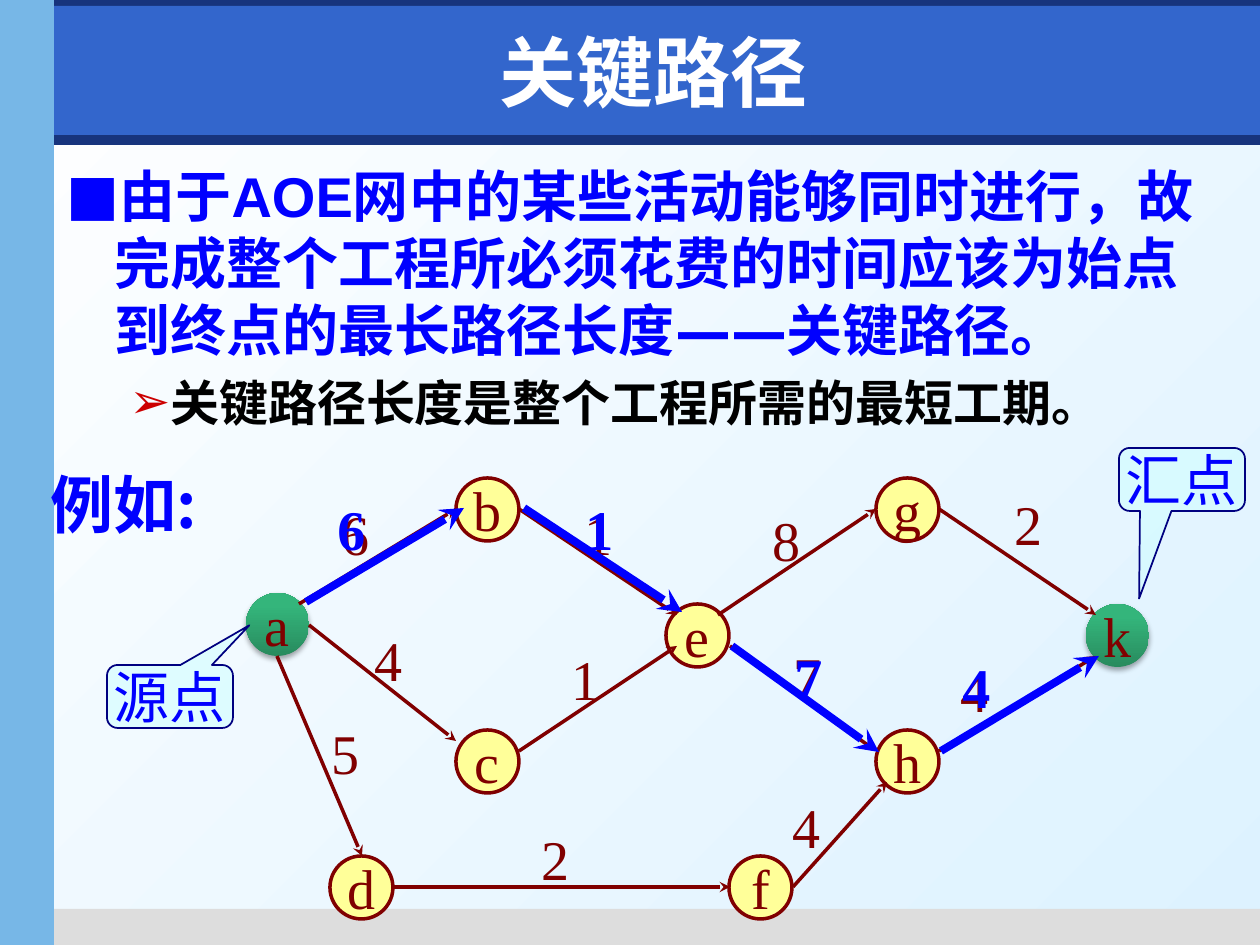
from lxml.etree import SubElement
from pptx import Presentation
from pptx.dml.color import RGBColor
from pptx.enum.shapes import MSO_CONNECTOR, MSO_SHAPE
from pptx.enum.text import MSO_ANCHOR, PP_ALIGN
from pptx.oxml import parse_xml
from pptx.oxml.ns import nsdecls, qn
from pptx.util import Pt

PX = 914400 / 126
SERIF = "Times New Roman"
COLORS = {name: RGBColor.from_string(value) for name, value in {
    "white": "FFFFFF", "sky": "DDF2FF", "navy": "17347D", "gray": "DDDDDD",
    "banner": "3366CC", "side": "77B7E7", "blue": "0000FF", "black": "000000",
    "red": "CC0000", "maroon": "800000", "yellow": "FFFF99", "cyan": "CCFFFF",
    "outline": "000080", "green_dark": "288B5E", "green": "34B57B",
}.items()}


def emu(*lengths):
    return [round(length * PX) for length in lengths]


def style(paragraph, size, color, font=SERIF, bold=False, east_asian="DejaVu Sans"):
    """Format every run, with a separate typeface for the Chinese characters."""
    for run in paragraph.runs:
        run.font.size, run.font.bold, run.font.name = Pt(size), bold, font
        run.font.color.rgb = COLORS[color]
        SubElement(run.font._element, qn("a:ea"), typeface=east_asian)


prs = Presentation()
prs.slide_width, prs.slide_height = emu(1260, 945)
slide = prs.slides.add_slide(prs.slide_layouts[6])
shapes = slide.shapes

backdrop = slide.background.fill
backdrop.gradient()
backdrop.gradient_angle = 315
for stop, color in zip(backdrop.gradient_stops, ("white", "sky")):
    stop.color.rgb = COLORS[color]

bands = [
    (5, 135, 1255, 10, "navy"),
    (44, 909, 1216, 36, "gray"),
    (0, 0, 1260, 26, "navy"),
    (54, 6, 1206, 129, "banner"),
    (0, 0, 54, 945, "side"),
]
for *place, color in bands:
    band = shapes.add_shape(MSO_SHAPE.RECTANGLE, *emu(*place))
    band.shadow.inherit = False
    band.fill.solid()
    band.fill.fore_color.rgb = COLORS[color]
    band.line.fill.background()

title = shapes.add_textbox(*emu(74, 16, 1160, 110)).text_frame
title.word_wrap = True
title.vertical_anchor = MSO_ANCHOR.MIDDLE
title.text = "关键路径"
title.paragraphs[0].alignment = PP_ALIGN.CENTER
style(title.paragraphs[0], 44, "white", "DejaVu Sans", True)

body = shapes.add_textbox(*emu(54, 155, 1181, 743)).text_frame
body.word_wrap = True
points = [
    ("由于AOE网中的某些活动能够同时进行，故完成整个工程所必须花费的时间应该为"
     "始点到终点的最长路径长度——关键路径。", 32, "blue", "■", "blue", 48, 48),
    ("关键路径长度是整个工程所需的最短工期。", 28, "black", "➢", "red", 102, 39),
]
for level, (text, size, color, bullet, bullet_color, margin, hanging) in enumerate(points):
    point = body.add_paragraph() if level else body.paragraphs[0]
    point.text = text
    point.level = level
    point.space_before = Pt(size * 0.2)
    style(point, size, color, "Arial", True)
    properties = point._p.get_or_add_pPr()
    left, indent = emu(margin, -hanging)
    properties.set("marL", str(left))
    properties.set("indent", str(indent))
    tint = SubElement(properties, qn("a:buClr"))
    SubElement(tint, qn("a:srgbClr"), val=str(COLORS[bullet_color]))
    SubElement(properties, qn("a:buFont"), typeface="DejaVu Sans")
    SubElement(properties, qn("a:buChar"), char=bullet)

NODE = 63
nodes = {
    "a": (246, 593), "b": (456, 478), "c": (456, 730), "d": (330, 856),
    "e": (666, 604), "f": (729, 856), "g": (876, 478), "h": (876, 730),
    "k": (1086, 604),
}
for name, place in nodes.items():
    node = shapes.add_shape(MSO_SHAPE.OVAL, *emu(*place, NODE, NODE))
    node.shadow.inherit = False
    if name in "ak":
        node.fill.gradient()
        node.fill.gradient_angle = 90
        stops = zip(node.fill.gradient_stops, (0, 0.8), ("green_dark", "green"))
        for stop, position, color in stops:
            stop.position = position
            stop.color.rgb = COLORS[color]
        node.line.fill.background()
        effects = node._element.spPr.find(qn("a:effectLst"))
        effects.append(parse_xml(
            f'<a:outerShdw {nsdecls("a")} blurRad="39370" dist="22860" dir="5400000">'
            '<a:srgbClr val="000000"><a:alpha val="35000"/></a:srgbClr></a:outerShdw>'))
    else:
        node.fill.solid()
        node.fill.fore_color.rgb = COLORS["yellow"]
        node.line.color.rgb = COLORS["maroon"]
        node.line.width = Pt(2)
    node.text_frame.word_wrap = False
    node.text_frame.vertical_anchor = MSO_ANCHOR.MIDDLE
    node.text_frame.text = name
    node.text_frame.paragraphs[0].alignment = PP_ALIGN.CENTER
    style(node.text_frame.paragraphs[0], 32, "maroon")

# Each activity: start x, y, end x, y, then its duration and the label's place.
activities = [
    (299, 604, 456, 509, "6", 329, 493),
    (309, 625, 456, 741, "4", 362, 619),
    (519, 751, 677, 646, "1", 559, 638),
    (519, 509, 677, 615, "1", 572, 493),
    (718, 615, 876, 509, "8", 760, 499),
    (939, 509, 1096, 615, "2", 1002, 483),
    (939, 751, 1096, 656, "4", 948, 650),
    (730, 646, 876, 751, "7", 781, 635),
    (277, 656, 362, 856, "5", 319, 712),
    (393, 887, 730, 887, "2", 529, 818),
    (793, 887, 887, 782, "4", 780, 786),
]
critical_path = [
    (306, 602, 464, 508, "6", 325, 488),
    (524, 508, 682, 612, "1", 573, 488),
    (732, 646, 879, 752, "7", 782, 636),
    (941, 751, 1099, 656, "4", 950, 646),
]
for edges, color, width, bold in ((activities, "maroon", 2, False),
                                  (critical_path, "blue", 4.5, True)):
    for *ends, duration, x, y in edges:
        arrow = shapes.add_connector(MSO_CONNECTOR.STRAIGHT, *emu(*ends))
        arrow.line.color.rgb = COLORS[color]
        arrow.line.width = Pt(width)
        SubElement(arrow.line._get_or_add_ln(), qn("a:tailEnd"), type="stealth")
        SubElement(arrow._element.spPr, qn("a:effectLst"))
    for *ends, duration, x, y in edges:
        label = shapes.add_textbox(*emu(x, y, 53, 79)).text_frame
        label.word_wrap = False
        label.text = duration
        style(label.paragraphs[0], 32, color, bold=bold)

example = shapes.add_textbox(*emu(38, 459, 184, 88)).text_frame
example.word_wrap = False
example.text = "例如:"
style(example.paragraphs[0], 36, "blue", "Noto Sans CJK SC", True, "Noto Sans CJK SC")

callouts = [
    ("源点", 107, 665, (0.63, -1.13, 0.17)),
    ("汇点", 1119, 448, (-0.34, 1.89, 0.17)),
]
for text, x, y, pointer in callouts:
    callout = shapes.add_shape(MSO_SHAPE.ROUNDED_RECTANGULAR_CALLOUT, *emu(x, y, 126, 63))
    callout.shadow.inherit = False
    for index, value in enumerate(pointer):
        callout.adjustments[index] = value
    callout.fill.solid()
    callout.fill.fore_color.rgb = COLORS["cyan"]
    tone = callout._element.spPr.find(qn("a:solidFill"))[0]
    SubElement(tone, qn("a:alpha"), val="50000")
    callout.line.color.rgb = COLORS["outline"]
    callout.line.width = Pt(1)
    callout.text_frame.word_wrap = False
    callout.text_frame.vertical_anchor = MSO_ANCHOR.MIDDLE
    callout.text_frame.text = text
    callout.text_frame.paragraphs[0].alignment = PP_ALIGN.CENTER
    style(callout.text_frame.paragraphs[0], 32, "blue")

prs.save("out.pptx")
